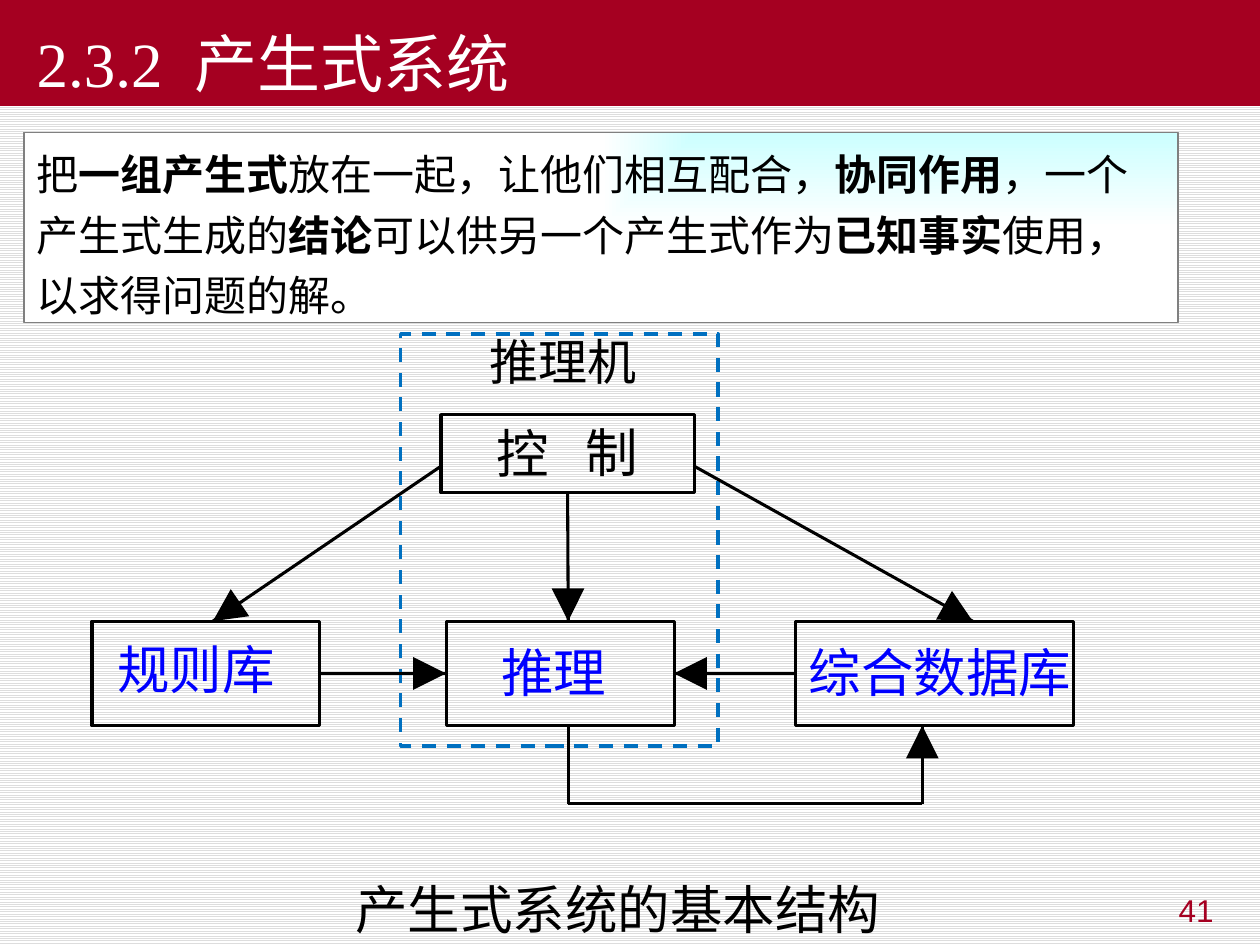
from math import hypot

from lxml import etree
from pptx import Presentation
from pptx.dml.color import RGBColor
from pptx.enum.dml import MSO_LINE, MSO_PATTERN
from pptx.enum.shapes import MSO_CONNECTOR, MSO_SHAPE
from pptx.enum.text import MSO_ANCHOR, MSO_AUTO_SIZE, PP_ALIGN
from pptx.oxml.ns import qn
from pptx.util import Inches, Pt

RECTANGLE, STRAIGHT = MSO_SHAPE.RECTANGLE, MSO_CONNECTOR.STRAIGHT
DASH, LIGHT_HORIZONTAL = MSO_LINE.DASH, MSO_PATTERN.LIGHT_HORIZONTAL
TOP, BOTTOM = MSO_ANCHOR.TOP, MSO_ANCHOR.BOTTOM
LEFT, RIGHT = PP_ALIGN.LEFT, PP_ALIGN.RIGHT
GROW = MSO_AUTO_SIZE.SHAPE_TO_FIT_TEXT
SIDE_LEFT, SIDE_BOTTOM, SIDE_RIGHT = 1, 2, 3

COLORS = {
    "crimson": "A50021", "white": "FFFFFF", "black": "000000",
    "blue": "0000FF", "dash": "0070C0", "stripe": "DDDDDD",
    "aqua": "CCFFFF", "gray": "808080",
}
CJK = "Noto Sans CJK SC"
TIGHT = {"margin_left": 0, "margin_right": 0, "margin_top": 0,
         "margin_bottom": 0, "word_wrap": False, "auto_size": GROW}
HEAD_LENGTH, HEAD_HALF_WIDTH = Inches(0.26), Inches(0.13)

LABELS = [
    ("控", 3.94, 3.34, 0.42, "black"),
    ("制", 4.65, 3.33, 0.42, "black"),
    ("规则库", 0.93, 5.06, 1.25, "blue"),
    ("推理", 3.98, 5.08, 0.84, "blue"),
    ("综合数据库", 6.42, 5.08, 2.1, "blue"),
    ("产生式系统的基本结构", 2.82, 6.96, 4.18, "black"),
]
DESCRIPTION = [
    ("把", False), ("一组产生式", True),
    ("放在一起，让他们相互配合，", False), ("协同作用", True),
    ("，一个产生式生成的", False), ("结论", True),
    ("可以供另一个产生式作为", False), ("已知事实", True),
    ("使用，以求得问题的解。", False),
]


def color(name):
    """Return the named palette colour."""
    return RGBColor.from_string(COLORS[name])


def apply(target, values):
    """Set every given format value on the target."""
    for attribute, value in values.items():
        setattr(target, attribute, value)


def stripe_background(slide):
    """Fill the slide background with light horizontal stripes."""
    fill = slide.background.fill
    fill.patterned()
    fill.pattern = LIGHT_HORIZONTAL
    fill.fore_color.rgb = color("stripe")
    fill.back_color.rgb = color("white")


def add_box(slide, place, outline=None, width=1.75, fill=None):
    """Add a rectangle with an optional outline and fill."""
    box = slide.shapes.add_shape(RECTANGLE, *map(Inches, place))
    box.shadow.inherit = False
    if fill:
        box.fill.solid()
        box.fill.fore_color.rgb = color(fill)
    else:
        box.fill.background()
    if outline:
        box.line.color.rgb = color(outline)
        box.line.width = Pt(width)
    else:
        box.line.fill.background()
    return box


def write(box, runs, size, hue, font=CJK, frame=None, paragraph=None):
    """Write (text, bold) runs into the first paragraph of a box."""
    apply(box.text_frame, {"word_wrap": True, "vertical_anchor": TOP} | (frame or {}))
    line = box.text_frame.paragraphs[0]
    apply(line, {"alignment": LEFT} | (paragraph or {}))
    for text, bold in runs:
        run = line.add_run()
        run.text = text
        apply(run.font, {"name": font, "size": Pt(size), "bold": bold})
        run.font.color.rgb = color(hue)
        etree.SubElement(run.font._element, qn("a:ea"), typeface=CJK)


def add_text(slide, text, place, size, hue, **formats):
    """Add a text box holding one run."""
    box = slide.shapes.add_textbox(*map(Inches, place))
    write(box, [(text, False)], size, hue, **formats)


def shade_from_corner(box):
    """Give the box a gradient that spreads from its top right corner."""
    box.fill.gradient()
    for stop, hue, position in zip(box.fill.gradient_stops, ("aqua", "white"), (0, 1)):
        stop.color.rgb = color(hue)
        stop.position = position
    gradient = box._element.spPr.find(qn("a:gradFill"))
    gradient.remove(gradient.find(qn("a:lin")))
    spread = etree.SubElement(gradient, qn("a:path"), path="rect")
    etree.SubElement(spread, qn("a:fillToRect"), l="100000", b="100000")


def add_line(slide, start, end, source=None, target=None):
    """Add a straight line, joined to (box, side) pairs where given."""
    line = slide.shapes.add_connector(STRAIGHT, *map(Inches, start + end))
    line.line.color.rgb = color("black")
    line.line.width = Pt(1.75)
    etree.SubElement(line._element.spPr, qn("a:effectLst"))
    if source:
        line.begin_connect(*source)
    if target:
        line.end_connect(*target)
    return line


def add_arrow(slide, start, end, source=None, target=None):
    """Add a line with a large triangular head at its end."""
    line = add_line(slide, start, end, source, target)
    tip_x, tip_y = line.end_x, line.end_y
    dx, dy = tip_x - line.begin_x, tip_y - line.begin_y
    length = hypot(dx, dy)
    ux, uy = dx / length, dy / length
    base_x, base_y = tip_x - ux * HEAD_LENGTH, tip_y - uy * HEAD_LENGTH
    across_x, across_y = -uy * HEAD_HALF_WIDTH, ux * HEAD_HALF_WIDTH
    outline = slide.shapes.build_freeform(tip_x, tip_y)
    outline.add_line_segments([
        (round(base_x + across_x), round(base_y + across_y)),
        (round(base_x - across_x), round(base_y - across_y)),
    ])
    head = outline.convert_to_shape()
    head.shadow.inherit = False
    head.fill.solid()
    head.fill.fore_color.rgb = color("black")
    head.line.fill.background()


def add_structure(slide):
    """Draw the engine, its parts and the arrows between them."""
    engine = add_box(slide, (3.18, 2.65, 2.52, 3.27), "dash", 2)
    engine.line.dash_style = DASH
    control = add_box(slide, (3.5, 3.29, 2.01, 0.62), "black")
    rules, inference, database = (
        add_box(slide, (left, 4.93, width, 0.83), "black")
        for left, width in ((0.73, 1.81), (3.54, 1.81), (6.31, 2.21)))
    for text, left, top, width, hue in LABELS:
        add_text(slide, text, (left, top, width, 0.5), 30, hue, frame=TIGHT)
    add_text(slide, "推理机", (3.79, 2.58, 1.76, 0.57), 28, "black", font="Arial")

    add_arrow(slide, (4.51, 3.91), (4.51, 4.93), source=(control, SIDE_BOTTOM))
    add_arrow(slide, (3.5, 3.7), (1.69, 4.93))
    add_arrow(slide, (5.51, 3.7), (7.72, 4.93))
    add_arrow(slide, (2.54, 5.35), (3.54, 5.35),
              (rules, SIDE_RIGHT), (inference, SIDE_LEFT))
    add_arrow(slide, (6.31, 5.35), (5.35, 5.35),
              (database, SIDE_LEFT), (inference, SIDE_RIGHT))
    add_line(slide, (4.51, 5.76), (4.51, 6.38))
    add_line(slide, (4.51, 6.38), (7.32, 6.38))
    add_arrow(slide, (7.32, 6.38), (7.32, 5.76))


def main():
    """Build the slide and save it."""
    deck = Presentation()
    deck.slide_width, deck.slide_height = Inches(10), Inches(7.5)
    slide = deck.slides.add_slide(deck.slide_layouts[6])
    stripe_background(slide)

    title = add_box(slide, (0, 0, 10, 0.84), fill="crimson")
    write(title, [("2.3.2  产生式系统", False)], 36, "white", "Times New Roman",
          {"vertical_anchor": BOTTOM, "margin_left": Inches(0.29)})
    add_structure(slide)
    description = add_box(slide, (0.19, 1.05, 9.16, 1.51), "gray", 0.75)
    shade_from_corner(description)
    write(description, DESCRIPTION, 24, "black", paragraph={"line_spacing": 1.2})
    add_text(slide, "41", (7.4, 7.02, 2.33, 0.52), 18, "crimson",
             font="Arial", paragraph={"alignment": RIGHT})
    deck.save("out.pptx")


if __name__ == "__main__":
    main()
